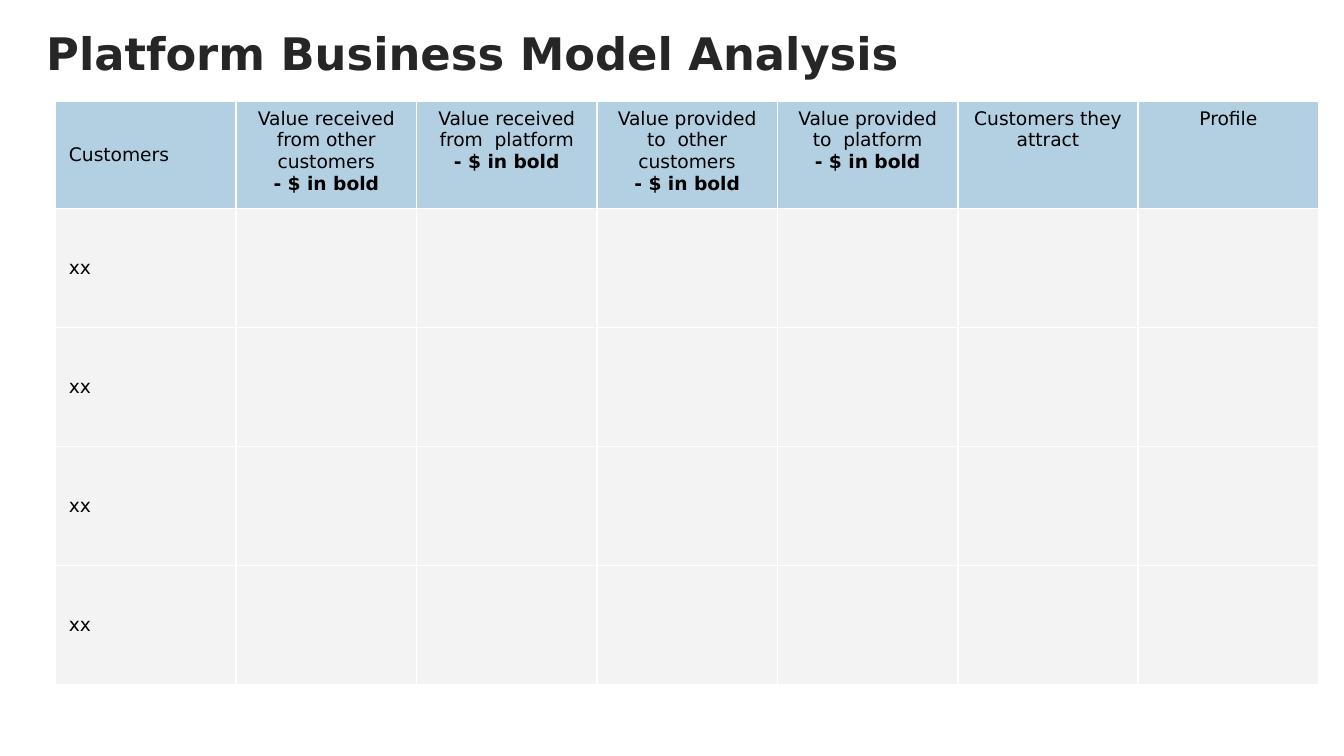
from lxml import etree
from pptx import Presentation
from pptx.dml.color import RGBColor
from pptx.enum import text
from pptx.oxml import ns
from pptx.util import Cm, Pt

FONT = "DejaVu Sans"
COLORS = {"title": "262626", "text": "000000", "header": "0066A1",
          "body": "D9D9D9", "border": "FFFFFF"}
OPACITY = "30000"
BOLD_NOTE = "- $ in bold"
HEADERS = [
    ["Customers"],
    ["Value received from other customers", BOLD_NOTE],
    ["Value received from  platform", BOLD_NOTE],
    ["Value provided to  other customers", BOLD_NOTE],
    ["Value provided to  platform", BOLD_NOTE],
    ["Customers they attract"],
    ["Profile"],
]
ROWS = [HEADERS] + [[["xx"]] + [[]] * (len(HEADERS) - 1)] * 4


def add_text(paragraph, words, size, color, bold, alignment):
    paragraph.alignment = alignment
    run = paragraph.add_run()
    run.text = words
    for name, value in {"name": FONT, "size": Pt(size), "bold": bold}.items():
        setattr(run.font, name, value)
    run.font.color.rgb = RGBColor.from_string(COLORS[color])


def paint_cell(cell, color):
    """Give the cell thin white borders and a translucent fill."""
    properties = cell._tc.get_or_add_tcPr()
    for side in ("lnL", "lnR", "lnT", "lnB"):
        line = etree.SubElement(properties, ns.qn(f"a:{side}"), w=str(Pt(1)))
        line_fill = etree.SubElement(line, ns.qn("a:solidFill"))
        etree.SubElement(line_fill, ns.qn("a:srgbClr"), val=COLORS["border"])
    cell.fill.solid()
    cell.fill.fore_color.rgb = RGBColor.from_string(COLORS[color])
    fill_color = properties.find(ns.qn("a:solidFill")).find(ns.qn("a:srgbClr"))
    etree.SubElement(fill_color, ns.qn("a:alpha"), val=OPACITY)


presentation = Presentation()
presentation.slide_width = Cm(25.4)
presentation.slide_height = Cm(14.29)
slide = presentation.slides.add_slide(presentation.slide_layouts[5])

# Title
title = slide.shapes.title
placement = {"left": Cm(0.62), "top": Cm(0.36), "width": Cm(24.3), "height": Cm(1.57)}
for name, value in placement.items():
    setattr(title, name, value)
frame_format = {"vertical_anchor": text.MSO_ANCHOR.TOP, "word_wrap": True,
                "auto_size": text.MSO_AUTO_SIZE.NONE}
for name, value in frame_format.items():
    setattr(title.text_frame, name, value)
add_text(title.text_frame.paragraphs[0], "Platform Business Model Analysis",
         24, "title", True, text.PP_ALIGN.LEFT)

# Customer table
table = slide.shapes.add_table(len(ROWS), len(HEADERS), Cm(1.05), Cm(1.91),
                               Cm(23.85), Cm(11.03)).table
table.first_row = table.horz_banding = False
for column in table.columns:
    column.width = Cm(3.41)
for row_index, row in enumerate(ROWS):
    table.rows[row_index].height = Cm(2.25 if row_index else 2.03)
    for column_index, lines in enumerate(row):
        cell = table.cell(row_index, column_index)
        paint_cell(cell, "body" if row_index else "header")
        is_label = column_index == 0
        cell.vertical_anchor = text.MSO_ANCHOR.MIDDLE if is_label else text.MSO_ANCHOR.TOP
        alignment = text.PP_ALIGN.LEFT if is_label else text.PP_ALIGN.CENTER
        frame = cell.text_frame
        for line_index, words in enumerate(lines):
            paragraph = frame.add_paragraph() if line_index else frame.paragraphs[0]
            add_text(paragraph, words, 10, "text", words == BOLD_NOTE, alignment)

presentation.save("out.pptx")
